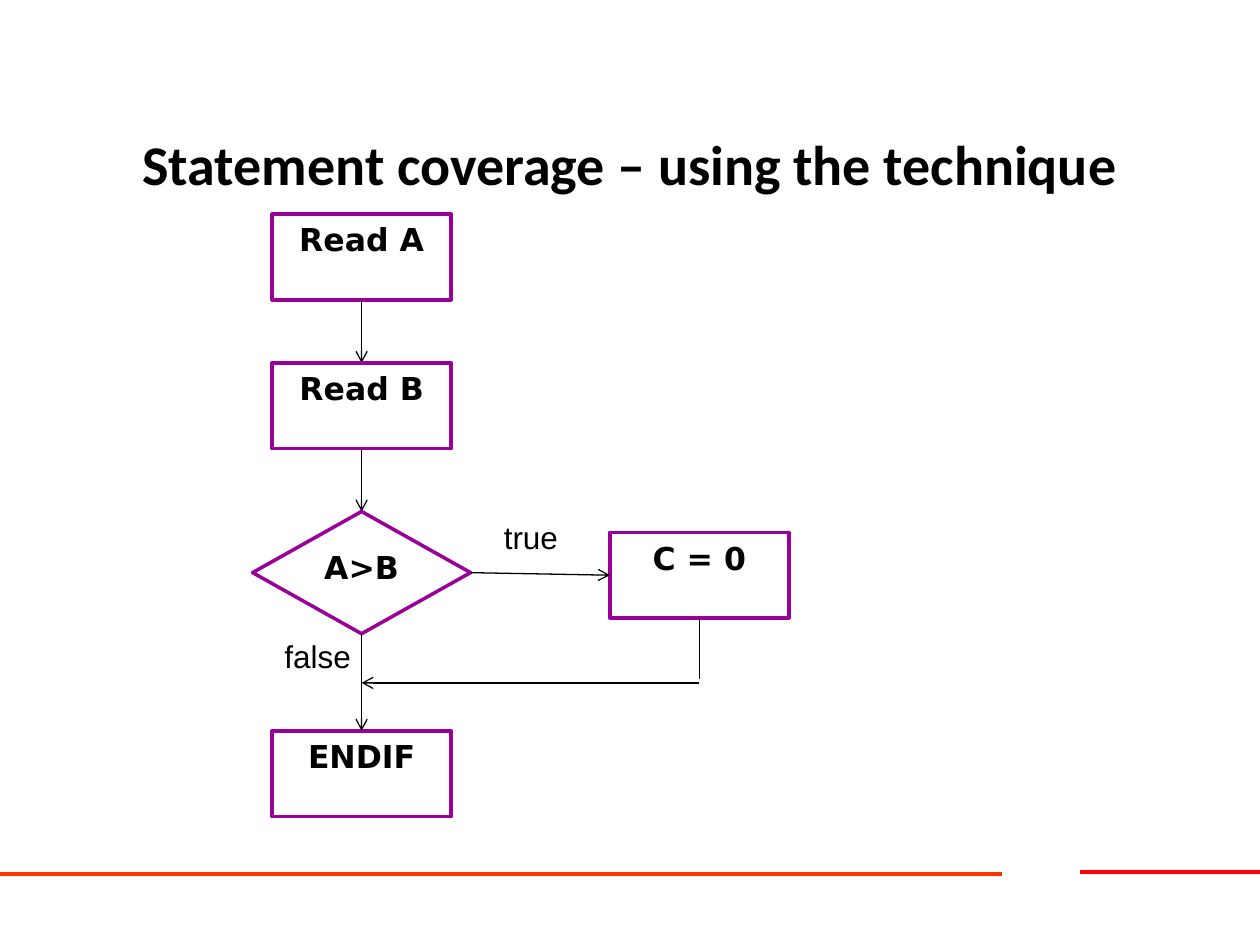
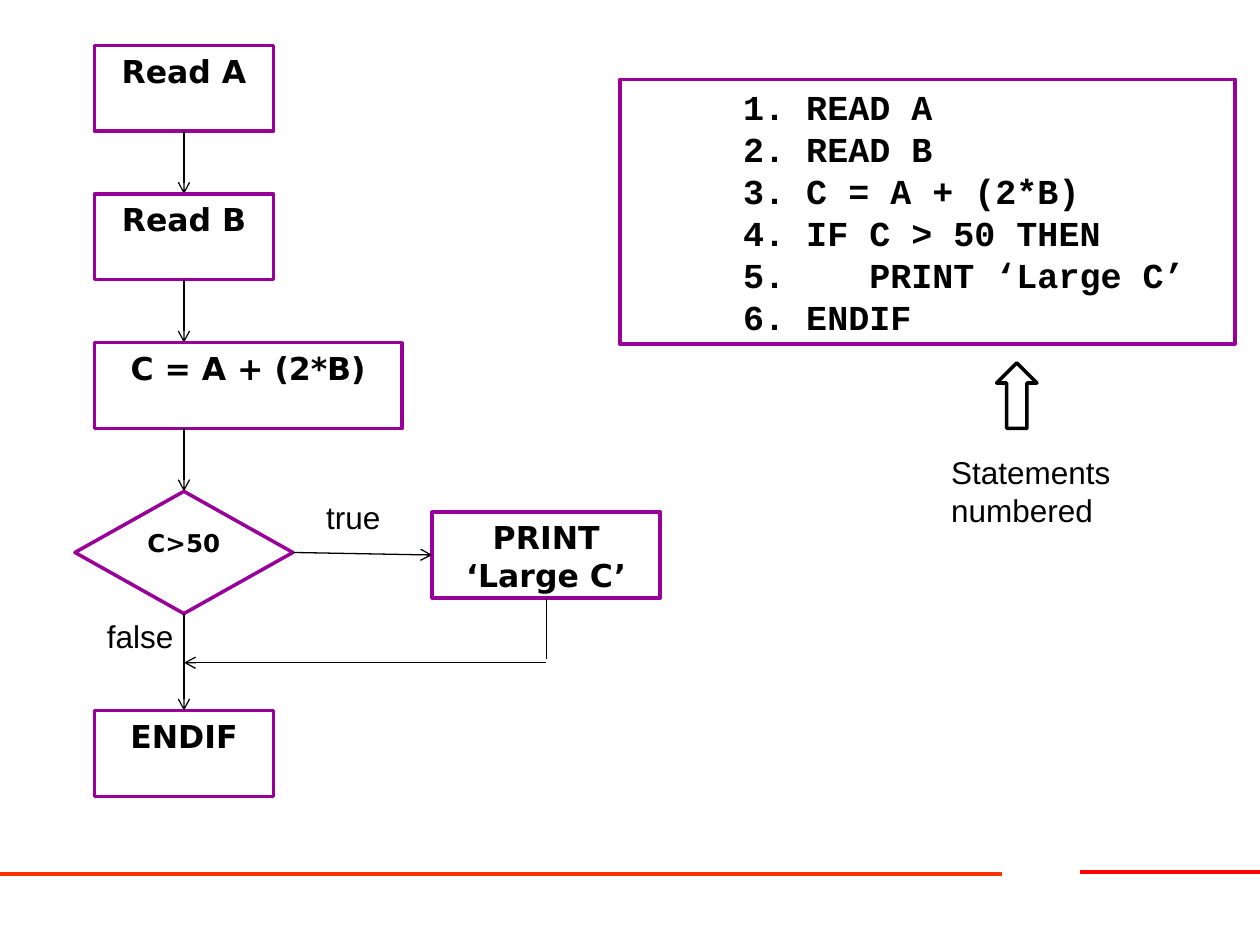
"""Build two slides of flowcharts that explain statement coverage."""
from lxml import etree
from pptx import Presentation
from pptx.dml.color import RGBColor
from pptx.enum.shapes import MSO_CONNECTOR, MSO_SHAPE
from pptx.enum.text import MSO_ANCHOR, PP_ALIGN
from pptx.oxml.ns import qn
from pptx.util import Inches, Pt

BLACK = RGBColor(0x00, 0x00, 0x00)
WHITE = RGBColor(0xFF, 0xFF, 0xFF)
PURPLE = RGBColor(0x99, 0x00, 0x99)
ORANGE = RGBColor(0xFF, 0x33, 0x00)
RED = RGBColor(0xFF, 0x00, 0x00)

PROCESS = MSO_SHAPE.FLOWCHART_PROCESS
DECISION = MSO_SHAPE.FLOWCHART_DECISION
RECTANGLE = MSO_SHAPE.RECTANGLE
UP_ARROW = MSO_SHAPE.UP_ARROW
STRAIGHT = MSO_CONNECTOR.STRAIGHT
CENTER, LEFT = PP_ALIGN.CENTER, PP_ALIGN.LEFT
TOP, MIDDLE = MSO_ANCHOR.TOP, MSO_ANCHOR.MIDDLE

TITLE_ONLY_LAYOUT, BLANK_LAYOUT = 5, 6
SLIDE_WIDTH, SLIDE_HEIGHT = 10, 7.5
BOX_WIDTH, BOX_HEIGHT = 1.42, 0.68
DIAMOND_WIDTH, DIAMOND_HEIGHT = 1.73, 0.97
ROW_PITCH = 1.18
BRANCH_OFFSET = 1.97
MERGE_OFFSET = 1.36
END_OFFSET = 1.74

CODE_LINES = [
    "1. READ A",
    "2. READ B",
    "3. C = A + (2*B)",
    "4. IF C > 50 THEN",
    "5.    PRINT ‘Large C’",
    "6. ENDIF",
]


def inches(*lengths):
    """Convert several lengths to slide units."""
    return [Inches(length) for length in lengths]


def style_font(font, name, size, bold=False):
    """Apply a typeface, size and weight in black."""
    font.name, font.size, font.bold = name, Pt(size), bold
    font.color.rgb = BLACK


def write_text(shape, lines, name, size, bold=False, alignment=LEFT, indent=0):
    """Write one paragraph per line, anchored at the top of a shape."""
    frame = shape.text_frame
    frame.word_wrap = True
    frame.vertical_anchor = TOP
    frame.text = "\n".join(lines)
    for paragraph in frame.paragraphs:
        paragraph.alignment = alignment
        if indent:
            paragraph._p.get_or_add_pPr().set("marL", str(Inches(indent)))
        style_font(paragraph.font, name, size, bold)


def add_outlined(slide, kind, left, top, width, height, color=PURPLE):
    """Add a white preset shape with a coloured outline."""
    shape = slide.shapes.add_shape(kind, *inches(left, top, width, height))
    shape.shadow.inherit = False
    shape.fill.solid()
    shape.fill.fore_color.rgb = WHITE
    shape.line.color.rgb = color
    shape.line.width = Pt(2)
    return shape


def add_node(slide, text, left, top, width=BOX_WIDTH, height=BOX_HEIGHT, kind=PROCESS, size=18):
    """Add a flowchart node with its bold caption."""
    shape = add_outlined(slide, kind, left, top, width, height)
    write_text(shape, [text], "DejaVu Sans", size, bold=True, alignment=CENTER)


def add_line(slide, start, end, color=BLACK, width=0.75, arrow=False):
    """Draw a straight line, with an open arrowhead at its end if asked."""
    connector = slide.shapes.add_connector(STRAIGHT, *inches(*start, *end))
    connector.line.color.rgb = color
    connector.line.width = Pt(width)
    if arrow:
        outline = connector.line._get_or_add_ln()
        etree.SubElement(outline, qn("a:tailEnd"), type="arrow")
    etree.SubElement(connector._element.spPr, qn("a:effectLst"))


def add_label(slide, text, left, top, width, height=0.4):
    """Add a plain text label."""
    box = slide.shapes.add_textbox(*inches(left, top, width, height))
    write_text(box, [text], "Arial", 18)


def add_slide(presentation, layout):
    """Add a slide with the two footer rules."""
    slide = presentation.slides.add_slide(presentation.slide_layouts[layout])
    add_line(slide, (8.57, 6.92), (SLIDE_WIDTH, 6.92), RED, 2.25)
    add_line(slide, (0, 6.94), (7.95, 6.94), ORANGE, 2.25)
    return slide


def set_title(slide, text):
    """Place and format the slide title."""
    title = slide.shapes.title
    title.left, title.top, title.width, title.height = inches(0.75, 0.67, 8.5, 1.25)
    title.text_frame.text = text
    title.text_frame.vertical_anchor = MIDDLE
    paragraph = title.text_frame.paragraphs[0]
    paragraph.alignment = CENTER
    style_font(paragraph.font, "Calibri", 32, bold=True)


def add_steps(slide, axis, top, steps):
    """Stack process boxes joined by arrows and return the next row's top."""
    for text, width in steps:
        add_node(slide, text, axis - BOX_WIDTH / 2, top, width)
        add_line(slide, (axis, top + BOX_HEIGHT), (axis, top + ROW_PITCH), arrow=True)
        top += ROW_PITCH
    return top


def add_decision(slide, axis, top, condition, action, action_width=BOX_WIDTH, size=18):
    """Draw a decision, its true branch and the closing ENDIF box."""
    middle, bottom = top + DIAMOND_HEIGHT / 2, top + DIAMOND_HEIGHT
    right = axis + DIAMOND_WIDTH / 2
    branch_left = axis + BRANCH_OFFSET
    branch_axis = branch_left + action_width / 2
    branch_top = middle - BOX_HEIGHT / 2 + 0.02
    merge, end_top = top + MERGE_OFFSET, top + END_OFFSET

    add_node(slide, condition, axis - DIAMOND_WIDTH / 2, top,
             DIAMOND_WIDTH, DIAMOND_HEIGHT, DECISION, size)
    add_node(slide, action, branch_left, branch_top, action_width)
    add_node(slide, "ENDIF", axis - BOX_WIDTH / 2, end_top)
    add_line(slide, (right, middle), (branch_left, middle + 0.02), arrow=True)
    add_line(slide, (axis, bottom), (axis, end_top), arrow=True)
    add_line(slide, (branch_axis, branch_top + BOX_HEIGHT), (branch_axis, merge - 0.03))
    add_line(slide, (branch_axis, merge), (axis, merge), arrow=True)
    add_label(slide, "true", axis + 1.03, top, 0.71)
    add_label(slide, "false", axis - 0.71, top + 0.95, 0.87)


def add_code_box(slide):
    """Show the numbered statements with an arrow and its caption."""
    box = add_outlined(slide, RECTANGLE, 4.92, 0.63, 4.88, 2.1)
    write_text(box, CODE_LINES, "Courier New", 20, bold=True, indent=0.88)
    add_outlined(slide, UP_ARROW, 7.91, 2.88, 0.32, 0.52, BLACK)
    add_label(slide, "Statements numbered", 7.45, 3.55, 1.89, 0.7)


def main():
    """Build and save the presentation."""
    presentation = Presentation()
    presentation.slide_width, presentation.slide_height = inches(SLIDE_WIDTH, SLIDE_HEIGHT)

    slide = add_slide(presentation, TITLE_ONLY_LAYOUT)
    set_title(slide, "Statement coverage – using the technique")
    axis = 2.87
    top = add_steps(slide, axis, 1.7, [("Read A", BOX_WIDTH), ("Read B", BOX_WIDTH)])
    add_decision(slide, axis, top, "A>B", "C = 0")

    slide = add_slide(presentation, BLANK_LAYOUT)
    axis = 1.46
    steps = [("Read A", BOX_WIDTH), ("Read B", BOX_WIDTH), ("C = A + (2*B)", 2.44)]
    top = add_steps(slide, axis, 0.36, steps)
    add_decision(slide, axis, top, "C>50", "PRINT ‘Large C’", 1.81, size=14)
    add_code_box(slide)

    presentation.save("out.pptx")


if __name__ == "__main__":
    main()
